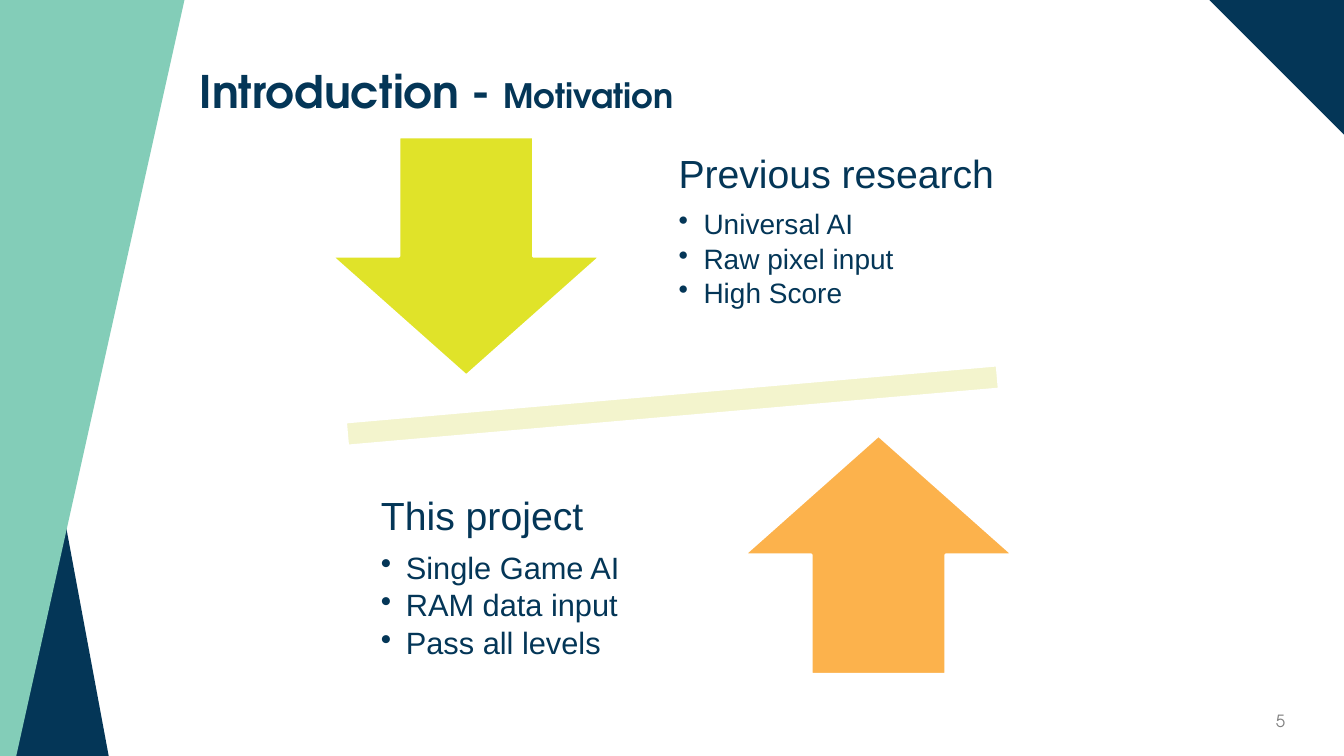
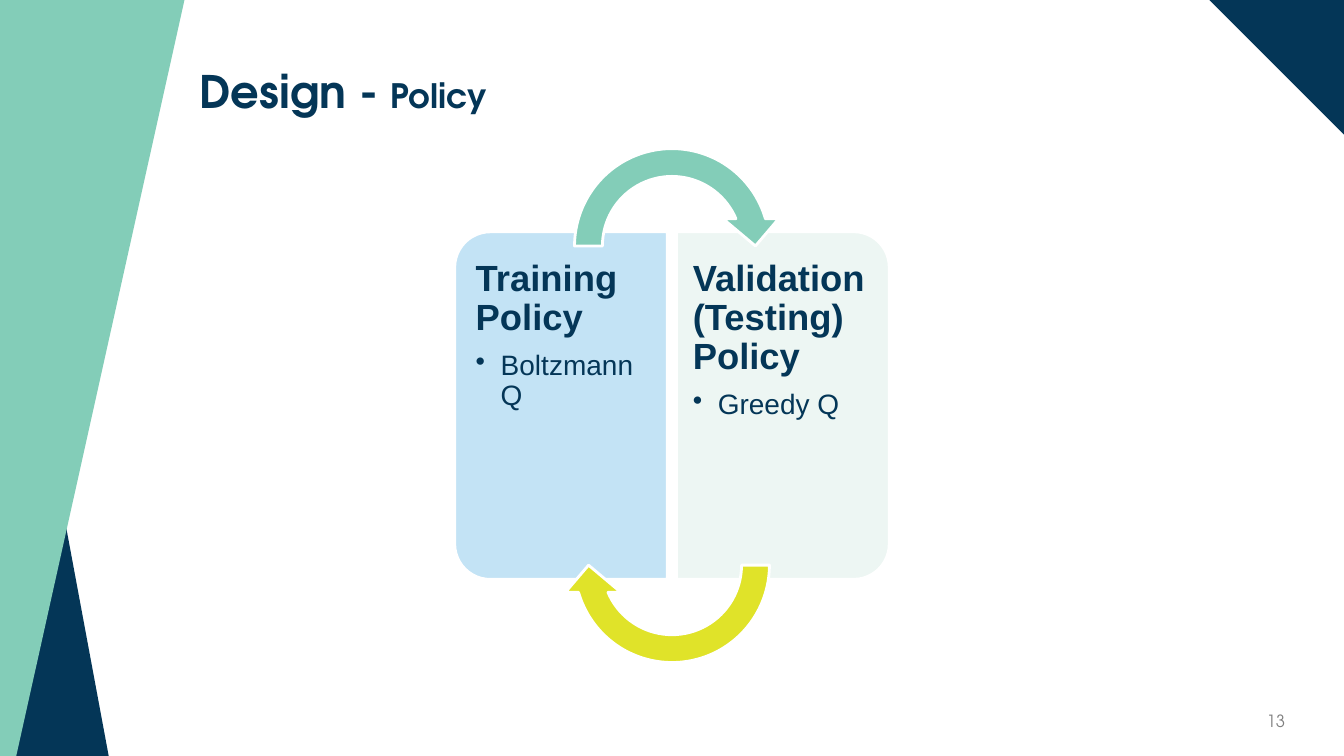
import pptx
import pptx.dml.color
import pptx.enum.shapes
import pptx.enum.text
import pptx.oxml.ns
import pptx.util
from lxml import etree

Cm = pptx.util.Cm
Pt = pptx.util.Pt
SHAPES = pptx.enum.shapes.MSO_SHAPE
ANCHOR = pptx.enum.text.MSO_ANCHOR
ALIGN = pptx.enum.text.PP_ALIGN

WIDTH, HEIGHT = 33.87, 19.05
NAVY, MINT, LIME, ORANGE = "043657", "83CDB8", "E0E329", "FCB24C"
CREAM, SKY, MIST, GREY, WHITE = "F3F4CD", "C3E3F5", "EDF6F3", "7F7F7F", "FFFFFF"
HEAD_FONT, BODY_FONT = "TeX Gyre Adventor", "Arial"


def colour(code):
    return pptx.dml.color.RGBColor.from_string(code)


def paint(shape, fill, line=None):
    shape.shadow.inherit = False
    shape.fill.solid()
    shape.fill.fore_color.rgb = colour(fill)
    if line:
        shape.line.color.rgb = colour(line)
        shape.line.width = Pt(2)
    else:
        shape.line.fill.background()


def add_shape(page, kind, left, top, width, height, fill, line=None, turn=0, adjust=()):
    shape = page.shapes.add_shape(kind, Cm(left), Cm(top), Cm(width), Cm(height))
    shape.rotation = turn
    for index, value in enumerate(adjust):
        shape.adjustments[index] = value
    paint(shape, fill, line)


def add_frame(page, left, top, width, height, anchor, insets=(0.25, 0.13, 0.25, 0.13)):
    box = page.shapes.add_textbox(Cm(left), Cm(top), Cm(width), Cm(height))
    frame = box.text_frame
    frame.word_wrap = True
    frame.vertical_anchor = anchor
    frame.margin_left, frame.margin_top, frame.margin_right, frame.margin_bottom = map(Cm, insets)
    return frame


def add_span(para, text, size, font, code=NAVY, bold=False):
    span = para.add_run()
    span.text = text
    span.font.size = Pt(size)
    span.font.name = font
    span.font.bold = bold
    span.font.color.rgb = colour(code)


def add_bullet(para):
    para.level = 1
    properties = para._p.get_or_add_pPr()
    properties.set("marL", str(Cm(0.63)))
    properties.set("indent", str(-Cm(0.63)))
    bullet = etree.SubElement(properties, pptx.oxml.ns.qn("a:buChar"))
    bullet.set("char", "•")


def add_topic(frame, heading, items, heading_size, item_size, bold=False):
    para = frame.paragraphs[0]
    para.line_spacing = 0.9
    para.space_after = Pt(0.35 * heading_size)
    add_span(para, heading, heading_size, BODY_FONT, bold=bold)
    for item in items:
        para = frame.add_paragraph()
        add_bullet(para)
        para.line_spacing = 0.9
        para.space_after = Pt(0.15 * item_size)
        add_span(para, item, item_size, BODY_FONT)


def add_backdrop(page):
    corner = 3.39
    add_shape(page, SHAPES.RIGHT_TRIANGLE, WIDTH - corner, 0, corner, corner, NAVY, turn=180)
    add_shape(page, SHAPES.RIGHT_TRIANGLE, 0, 4.32, 2.74, HEIGHT - 4.32, NAVY)
    outline = page.shapes.build_freeform(Cm(4.65), 0)
    outline.add_line_segments([(0, 0), (0, Cm(HEIGHT)), (Cm(0.41), Cm(HEIGHT))])
    paint(outline.convert_to_shape(), MINT)


def add_page(deck, section, subject, number):
    page = deck.slides.add_slide(deck.slide_layouts[6])
    add_backdrop(page)
    para = add_frame(page, 25.02, 17.65, 7.62, 1.02, ANCHOR.MIDDLE).paragraphs[0]
    para.alignment = ALIGN.RIGHT
    add_span(para, number, 12, HEAD_FONT, GREY)
    para = add_frame(page, 4.78, 1.02, 27.86, 2.69, ANCHOR.MIDDLE).paragraphs[0]
    para.line_spacing = 0.9
    add_span(para, section + " - ", 32, HEAD_FONT, bold=True)
    add_span(para, subject, 24, HEAD_FONT, bold=True)
    return page


def add_balance(page, left, top, width, height):
    arrow_width, arrow_height = 6.78, 6.02
    bar_width, bar_height = 22.43, 2.57
    add_shape(page, SHAPES.MATH_MINUS, left + (width - bar_width) / 2,
              top + (height - bar_height) / 2, bar_width, bar_height, CREAM, WHITE, 355)
    add_shape(page, SHAPES.DOWN_ARROW, left, top, arrow_width, arrow_height, LIME, WHITE)
    add_shape(page, SHAPES.UP_ARROW, left + width - arrow_width,
              top + height - arrow_height, arrow_width, arrow_height, ORANGE, WHITE)
    topics = [
        (8.18, -0.76, 9.4, 20, "Previous research",
         ["Universal AI", "Raw pixel input", "High Score"]),
        (0.68, 7.98, 7.21, 22, "This project",
         ["Single Game AI", "RAM data input", "Pass all levels"]),
    ]
    for across, down, text_width, size, heading, items in topics:
        frame = add_frame(page, left + across, top + down, text_width, 6.32,
                          ANCHOR.MIDDLE, (0.56,) * 4)
        add_topic(frame, heading, items, 28, size)


def add_cycle(page, left, top, width, height):
    panel, margin, ring, overlap = 5.36, 0.25, 5.61, 0.36
    policies = [
        (left, 270, SKY, margin, (0.28, 0.46, 0.41, 0.46), "Training Policy", "Boltzmann Q"),
        (left + width - panel, 90, MIST, 0, (0.41, 0.46, 0.28, 0.46),
         "Validation (Testing) Policy", "Greedy Q"),
    ]
    for start, turn, fill, shift, insets, heading, item in policies:
        add_shape(page, SHAPES.ROUND_2_SAME_RECTANGLE, start + (panel - height) / 2,
                  top + (height - panel) / 2, height, panel, fill, WHITE, turn, (0.167, 0))
        frame = add_frame(page, start + shift, top + margin, panel - margin,
                          height - 2 * margin, ANCHOR.TOP, insets)
        add_topic(frame, heading, [item], 26, 20, bold=True)
    for middle, turn, fill in [(top + overlap, 0, MINT), (top + height - overlap, 180, LIME)]:
        add_shape(page, SHAPES.CIRCULAR_ARROW, left + (width - ring) / 2, middle - ring / 2,
                  ring, ring, fill, WHITE, turn, (0.125, 11.423, 204.577, 108, 0.125))


def main():
    deck = pptx.Presentation()
    deck.slide_width, deck.slide_height = Cm(WIDTH), Cm(HEIGHT)
    add_balance(add_page(deck, "Introduction", "Motivation", "5"), 8.36, 3.45, 17.17, 13.54)
    add_cycle(add_page(deck, "Design", "Policy", "13"), 11.46, 5.84, 10.95, 8.76)
    deck.save("out.pptx")


if __name__ == "__main__":
    main()
